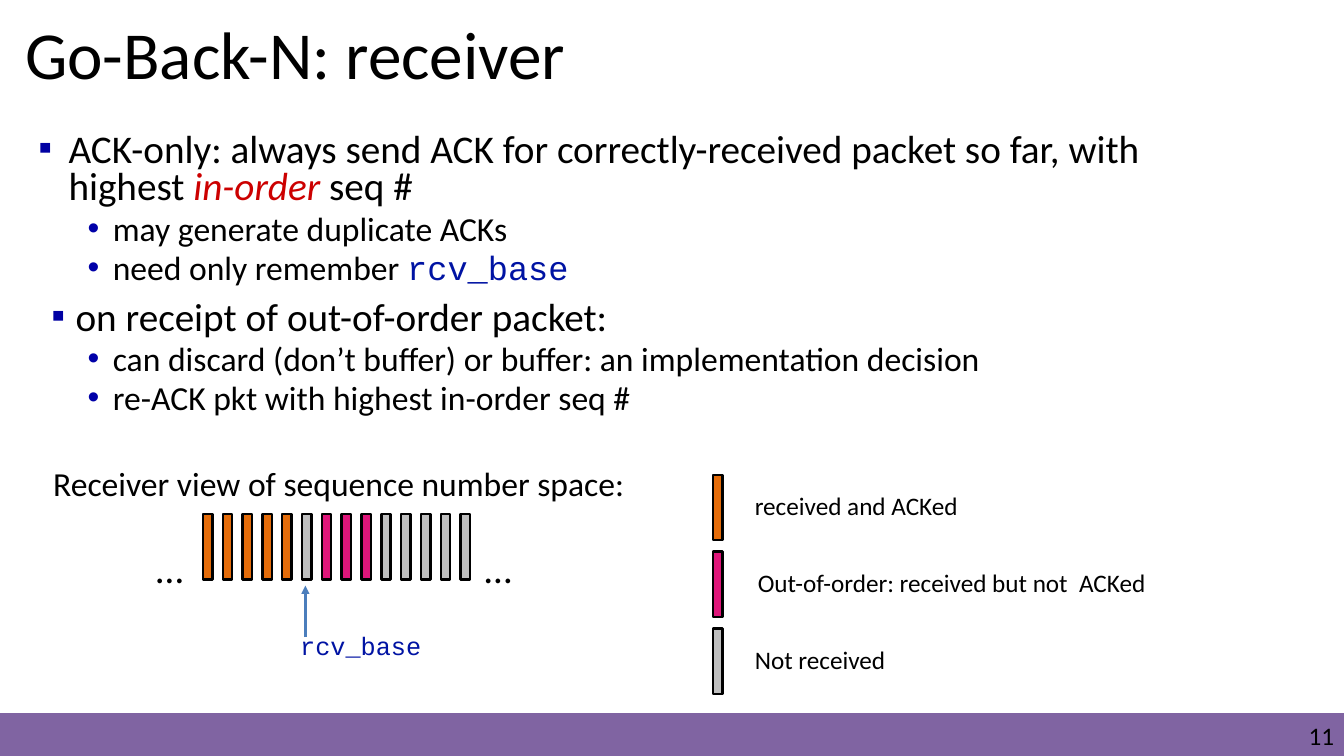
import dataclasses

import pptx
import pptx.dml.color
import pptx.enum.shapes
import pptx.enum.text
import pptx.oxml.ns
import pptx.util
from lxml import etree

qn = pptx.oxml.ns.qn
Align = pptx.enum.text.PP_ALIGN
Anchor = pptx.enum.text.MSO_ANCHOR
COLUMNS, ROWS = 80, 45


@dataclasses.dataclass(frozen=True)
class Theme:
    font: str = "Calibri"
    code_font: str = "Courier New"
    ink: str = "000000"
    band: str = "8064A2"
    accent: str = "CC0000"
    code: str = "0013A3"
    square: str = "0000A3"
    dot: str = "0000A8"
    arrow: str = "4B7EBC"
    acked: str = "E46C0A"
    out_of_order: str = "DF167A"
    missing: str = "BFBFBF"
    title_size: int = 48
    large: int = 28
    medium: int = 24
    small: int = 18


def rgb(color):
    return pptx.dml.color.RGBColor.from_string(color)


def apply(target, values):
    for name, value in values.items():
        setattr(target, name, value)


class SlideBuilder:
    def __init__(self, prs, theme):
        self.theme = theme
        self.cell_w = prs.slide_width / COLUMNS
        self.cell_h = prs.slide_height / ROWS
        self.s = prs.slides.add_slide(prs.slide_layouts[1])

    def place(self, x, y, w, h):
        """Turn columns and rows into slide lengths."""
        return (round(x * self.cell_w), round(y * self.cell_h),
                round(w * self.cell_w), round(h * self.cell_h))

    def move(self, sp, box):
        names = ("left", "top", "width", "height")
        apply(sp, dict(zip(names, self.place(*box))))

    def run(self, p, text, size, style="plain"):
        t = self.theme
        font, color, italic = {
            "plain": (t.font, t.ink, False),
            "accent": (t.font, t.accent, True),
            "code": (t.code_font, t.code, False),
        }[style]
        r = p.add_run()
        r.text = text
        apply(r.font, {"name": font, "size": pptx.util.Pt(size), "italic": italic})
        r.font.color.rgb = rgb(color)

    def title(self, text, box):
        sp = self.s.shapes.title
        self.move(sp, box)
        tf = sp.text_frame
        apply(tf, {"margin_left": 0, "margin_right": 0, "margin_top": 0,
                   "margin_bottom": 0, "vertical_anchor": Anchor.MIDDLE,
                   "auto_size": pptx.enum.text.MSO_AUTO_SIZE.NONE})
        p = tf.paragraphs[0]
        apply(p, {"alignment": Align.LEFT, "line_spacing": 0.9})
        self.run(p, text, self.theme.title_size)

    def bullet(self, p, level, margin, hanging):
        t = self.theme
        pPr = p._p.get_or_add_pPr()
        pPr.set("marL", str(pptx.util.Inches(margin)))
        pPr.set("indent", str(-pptx.util.Inches(hanging)))
        color = etree.SubElement(pPr, qn("a:buClr"))
        etree.SubElement(color, qn("a:srgbClr")).set("val", (t.square, t.dot)[level])
        etree.SubElement(pPr, qn("a:buChar")).set("char", "▪•"[level])

    def body(self, items, box):
        """Fill the body from (level, margin, hanging, runs) items."""
        sp = self.s.placeholders[1]
        self.move(sp, box)
        tf = sp.text_frame
        tf.auto_size = pptx.enum.text.MSO_AUTO_SIZE.NONE
        for i, (level, margin, hanging, runs) in enumerate(items):
            p = tf.add_paragraph() if i else tf.paragraphs[0]
            self.bullet(p, level, margin, hanging)
            before = (10, 5)[level] if i else 0
            apply(p, {"level": level, "line_spacing": 0.8,
                      "space_before": pptx.util.Pt(before)})
            size = (self.theme.large, self.theme.medium)[level]
            for text, style in runs:
                self.run(p, text, size, style)

    def label(self, text, box, size, style="plain"):
        sp = self.s.shapes.add_textbox(*self.place(*box))
        tf = sp.text_frame
        tf.word_wrap = False
        self.run(tf.paragraphs[0], text, size, style)
        return sp

    def page_number(self, text, box):
        tf = self.label(text, box, self.theme.small).text_frame
        apply(tf, {"margin_left": 0, "margin_right": 0, "margin_top": 0,
                   "margin_bottom": 0, "word_wrap": True})
        tf.paragraphs[0].alignment = Align.RIGHT

    def rectangle(self, box, fill, line, width):
        sp = self.s.shapes.add_shape(
            pptx.enum.shapes.MSO_SHAPE.RECTANGLE, *self.place(*box))
        sp.shadow.inherit = False
        sp.fill.solid()
        sp.fill.fore_color.rgb = rgb(fill)
        sp.line.color.rgb = rgb(line)
        sp.line.width = pptx.util.Pt(width)

    def packet(self, x, y, fill):
        self.rectangle((x, y, 0.56, 3.9), fill, self.theme.ink, 1.75)

    def arrow(self, x1, y1, x2, y2):
        start, end = self.place(x1, y1, x2, y2)[:2], self.place(x2, y2, 0, 0)[:2]
        sp = self.s.shapes.add_connector(
            pptx.enum.shapes.MSO_CONNECTOR.STRAIGHT, *start, *end)
        sp.line.color.rgb = rgb(self.theme.arrow)
        sp.line.width = pptx.util.Pt(1.75)
        etree.SubElement(sp.line._ln, qn("a:tailEnd")).set("type", "triangle")
        etree.SubElement(sp._element.spPr, qn("a:effectLst"))


def main():
    prs = pptx.Presentation()
    prs.slide_width = pptx.util.Inches(13.333)
    prs.slide_height = pptx.util.Inches(7.5)
    t = Theme()
    b = SlideBuilder(prs, t)

    b.rectangle((0, 42.48, COLUMNS, 2.52), t.band, t.band, 1)
    b.page_number("11", (61, 42.9, 18.42, 1.8))
    b.title("Go-Back-N: receiver", (1.5, 0.5, 72.84, 5.88))
    sub = (1, 0.76, 0.25)
    b.body([
        (0, 0.32, 0.3, [
            ("ACK-only: always send ACK for correctly-received packet so far, "
             "with highest ", "plain"),
            ("in-order", "accent"), (" seq #", "plain")]),
        (*sub, [("may generate duplicate ACKs", "plain")]),
        (*sub, [("need only remember ", "plain"), ("rcv_base", "code")]),
        (0, 0.39, 0.24, [("on receipt of out-of-order packet:", "plain")]),
        (*sub, [("can discard (don’t buffer) or buffer: an implementation decision",
                 "plain")]),
        (*sub, [("re-ACK pkt with highest in-order seq #", "plain")]),
    ], (1.56, 7.62, 67.68, 18.72))

    b.label("Receiver view of sequence number space:",
            (2.58, 27.24, 35.58, 3), t.medium)
    packets = ([t.acked] * 5 + [t.missing] + [t.out_of_order] * 3
               + [t.missing] * 5)
    for i, fill in enumerate(packets):
        b.packet(12.08 + 1.18 * i, 30.6, fill)
    for x in (8.7, 28.26):
        b.label("…", (x, 32.1, 2.82, 3.42), t.large)
    b.label("rcv_base", (17.28, 37.2, 8.46, 2.4), t.small, "code")
    b.arrow(18.18, 37.92, 18.18, 34.86)

    legend = [
        (t.acked, "received and ACKed", 44.34, 13.74),
        (t.out_of_order, "Out-of-order: received but not  ACKed", 44.52, 24.54),
        (t.missing, "Not received", 44.34, 9.06),
    ]
    for i, (fill, text, x, width) in enumerate(legend):
        y = 28.26 + 4.57 * i
        b.packet(42.45, y, fill)
        b.label(text, (x, y + 0.64, width, 2.4), t.small)

    prs.save("out.pptx")


if __name__ == "__main__":
    main()
